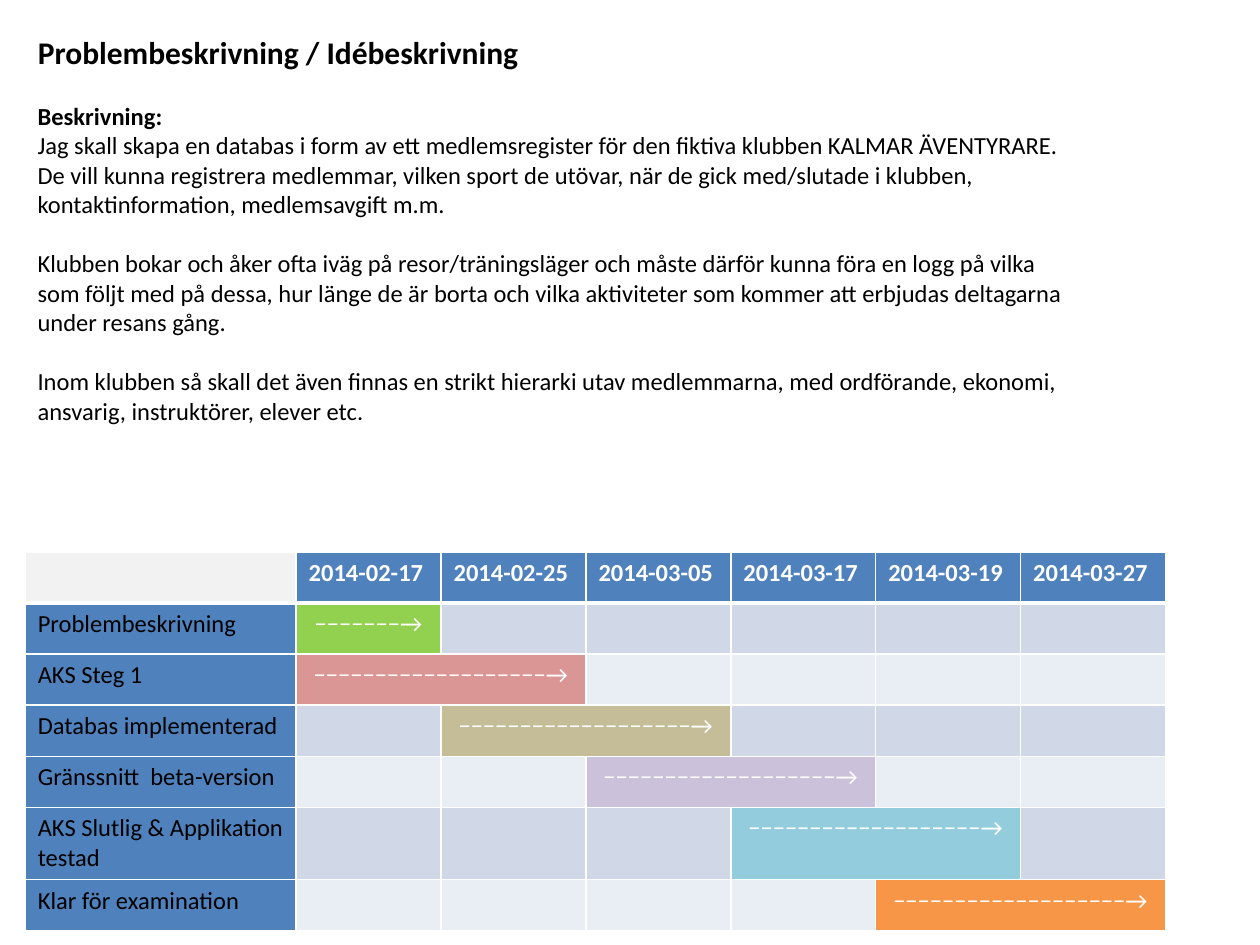
from pptx import Presentation, util as u
from pptx.dml.color import RGBColor
from pptx.enum import text
from pptx.oxml import parse_xml
from pptx.oxml.ns import nsdecls

BLUE, WHITE, BLACK = "4F81BD", "FFFFFF", "000000"
BANDS = ["D0D8E8", "E9EDF4"]
DASH, ARROW = "\u2212", "\u2192"


def color(value):
    return RGBColor.from_string(value)


def write(paragraph, words, size=14, ink=BLACK, bold=False, align=text.PP_ALIGN.LEFT, after=0):
    paragraph.alignment = align
    paragraph.space_before = u.Pt(0)
    paragraph.space_after = u.Pt(after)
    run = paragraph.add_run()
    run.text = words
    run.font.name = "Calibri"
    run.font.size = u.Pt(size)
    run.font.bold = bold
    run.font.color.rgb = color(ink)


class Page:
    def __init__(self, deck):
        self.slide = deck.slides.add_slide(deck.slide_layouts[5])

    def frame(self, shape):
        frame = shape.text_frame
        frame.word_wrap = True
        frame.auto_size = text.MSO_AUTO_SIZE.NONE
        frame.vertical_anchor = text.MSO_ANCHOR.TOP
        return frame

    def title(self, words, left, top, width, height):
        heading = self.slide.shapes.title
        heading.left, heading.top = u.Inches(left), u.Inches(top)
        heading.width, heading.height = u.Inches(width), u.Inches(height)
        write(self.frame(heading).paragraphs[0], words, size=18, bold=True)

    def body(self, entries, left, top, width, height):
        box = self.slide.shapes.add_textbox(*map(u.Inches, (left, top, width, height)))
        frame = self.frame(box)
        for index, (words, style) in enumerate(entries):
            paragraph = frame.add_paragraph() if index else frame.paragraphs[0]
            write(paragraph, words, **style)

    def table(self, rows, widths, left, top, height):
        grid = self.slide.shapes.add_table(
            rows, len(widths), u.Inches(left), u.Inches(top), u.Inches(sum(widths)), u.Inches(height)
        ).table
        for column, width in zip(grid.columns, widths):
            column.width = u.Inches(width)
        return grid

    def cell(self, cell, fill, words="", bottom=1, top=1, **style):
        properties = cell._tc.get_or_add_tcPr()
        for side, points in (("L", 1), ("R", 1), ("T", top), ("B", bottom)):
            properties.append(parse_xml(
                f'<a:ln{side} {nsdecls("a")} w="{u.Pt(points)}"><a:solidFill>'
                f'<a:srgbClr val="{WHITE}"/></a:solidFill></a:ln{side}>'
            ))
        cell.fill.solid()
        cell.fill.fore_color.rgb = color(fill)
        if words:
            write(cell.text_frame.paragraphs[0], words, **style)


deck = Presentation()
deck.slide_width, deck.slide_height = u.Inches(10), u.Inches(7.5)
page = Page(deck)

page.title("Problembeskrivning / Idébeskrivning", 0.2, 0.21, 8.43, 0.45)
page.body([
    ("Beskrivning:", {"bold": True}),
    ("Jag skall skapa en databas i form av ett medlemsregister för den fiktiva klubben "
     "KALMAR ÄVENTYRARE. De vill kunna registrera medlemmar, vilken sport de utövar, när de "
     "gick med/slutade i klubben, kontaktinformation, medlemsavgift m.m.", {"after": 17}),
    ("Klubben bokar och åker ofta iväg på resor/träningsläger och måste därför kunna föra en "
     "logg på vilka som följt med på dessa, hur länge de är borta och vilka aktiviteter som "
     "kommer att erbjudas deltagarna under resans gång.", {"after": 17}),
    ("Inom klubben så skall det även finnas en strikt hierarki utav medlemmarna, med "
     "ordförande, ekonomi, ansvarig, instruktörer, elever etc.", {}),
], 0.2, 0.75, 8.43, 2.69)

dates = ["2014-02-17", "2014-02-25", "2014-03-05", "2014-03-17", "2014-03-19", "2014-03-27"]
phases = [
    ("Problembeskrivning", 1, 1, "92D050"),
    ("AKS Steg 1", 1, 2, "D99694"),
    ("Databas implementerad", 2, 2, "C4BD97"),
    ("Gränssnitt  beta-version", 3, 2, "CCC1DA"),
    ("AKS Slutlig & Applikation testad", 4, 2, "93CDDD"),
    ("Klar för examination", 5, 2, "F79646"),
]
schedule = page.table(len(phases) + 1, [2.15] + [1.15] * len(dates), 0.2, 4.38, 2.84)

page.cell(schedule.cell(0, 0), "F2F2F2", bottom=3)
for column, date in enumerate(dates, 1):
    page.cell(schedule.cell(0, column), BLUE, date, bottom=3, ink=WHITE, bold=True)

for row, (phase, start, span, fill) in enumerate(phases, 1):
    top = 3 if row == 1 else 1
    page.cell(schedule.cell(row, 0), BLUE, phase, top=top)
    for column in range(1, len(dates) + 1):
        active = start <= column < start + span
        arrow = DASH * (7 if span == 1 else 19) + ARROW if column == start else ""
        page.cell(schedule.cell(row, column), fill if active else BANDS[(row - 1) % 2], arrow,
                  top=top, ink=WHITE, align=text.PP_ALIGN.CENTER)
    if span > 1:
        schedule.cell(row, start).merge(schedule.cell(row, start + span - 1))

deck.save("out.pptx")
